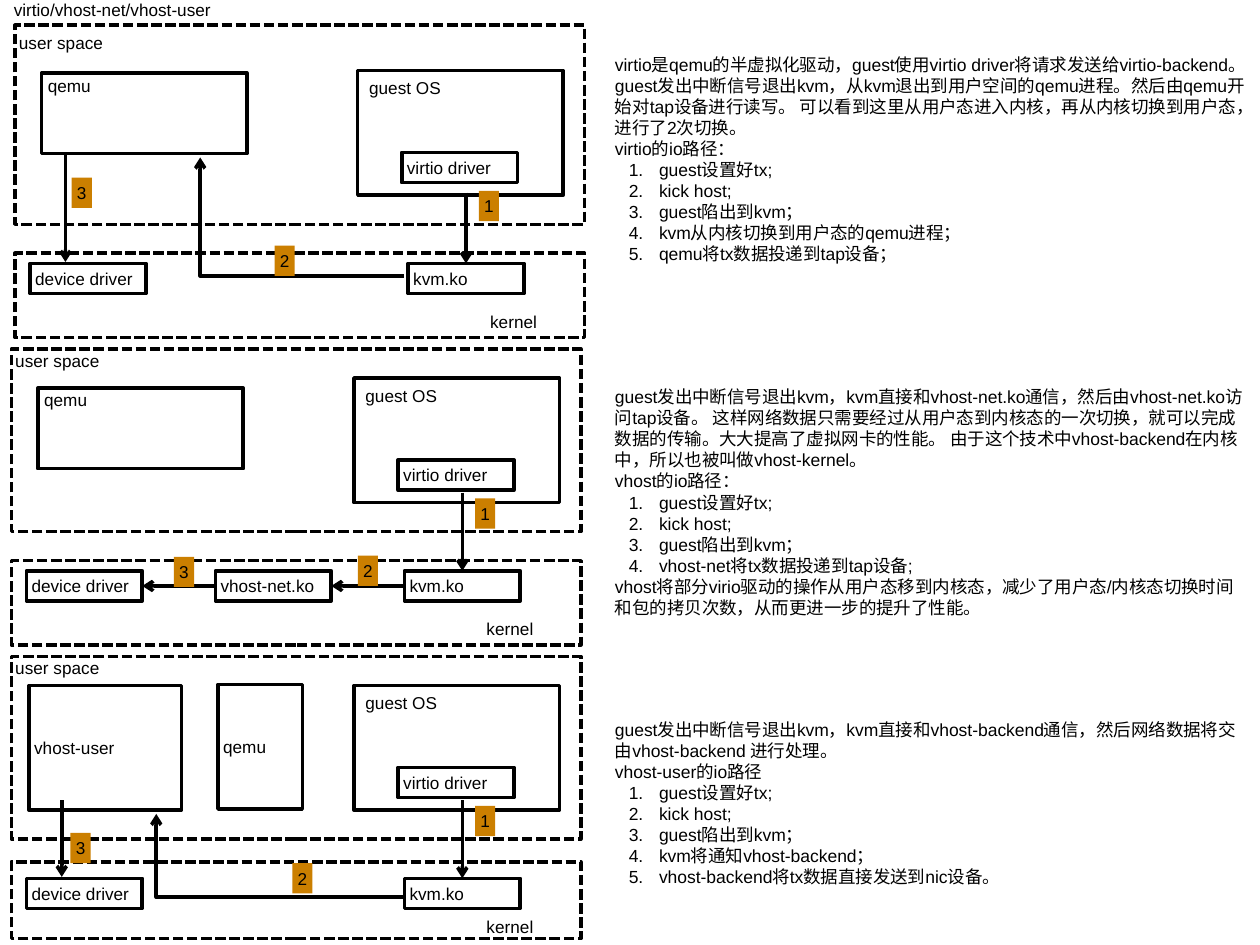
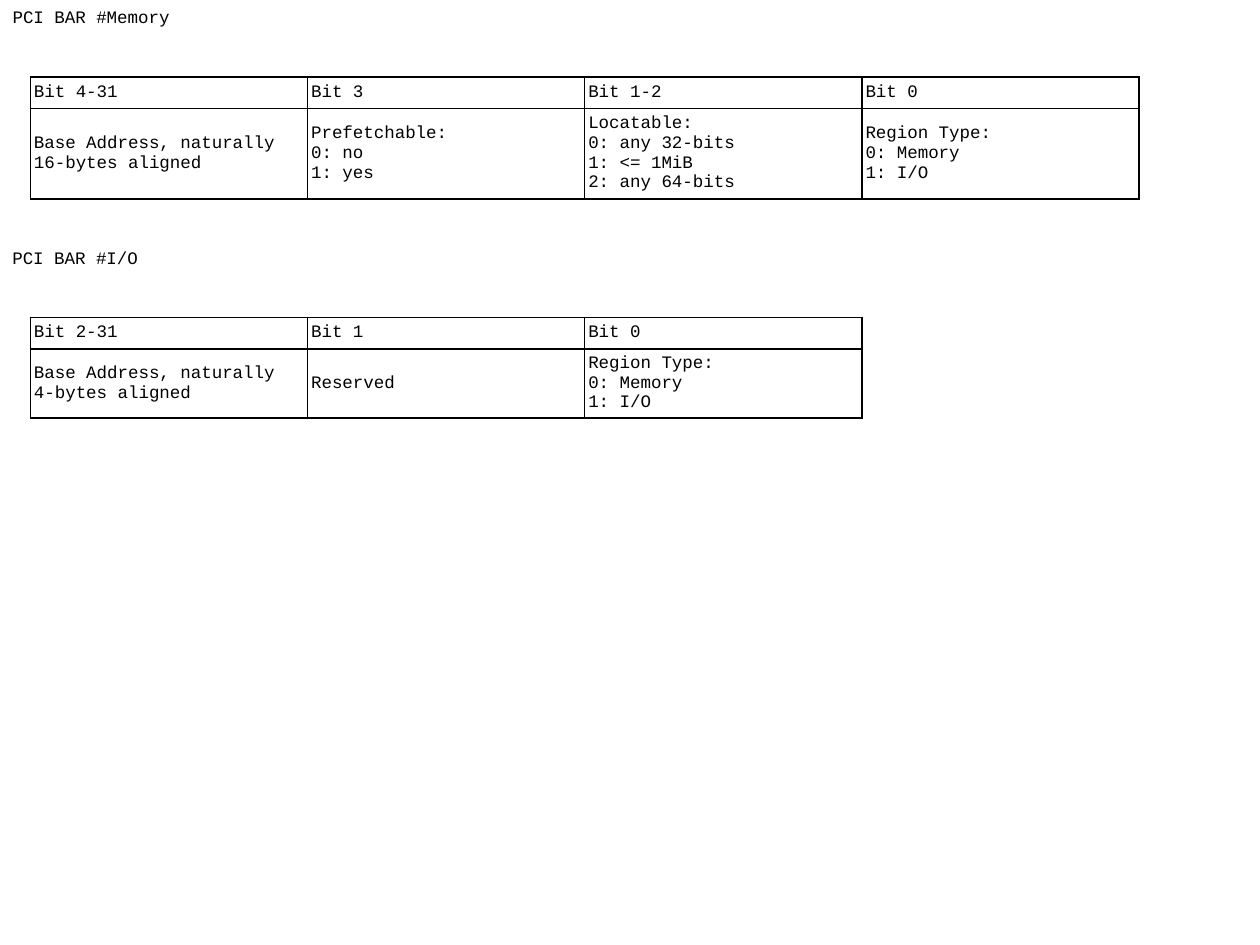
import dataclasses

import pptx
import pptx.dml.color
import pptx.enum.dml
import pptx.enum.shapes
import pptx.enum.text
import pptx.oxml
import pptx.oxml.ns
import pptx.util

Pt = pptx.util.Pt
RGB = pptx.dml.color.RGBColor.from_string
ANCHOR = pptx.enum.text.MSO_ANCHOR
ALIGN = pptx.enum.text.PP_ALIGN
RECTANGLE = pptx.enum.shapes.MSO_SHAPE.RECTANGLE
TOP, LEFT, RIGHT = 0, 1, 3  # connection sites of a rectangle


@dataclasses.dataclass(frozen=True)
class Theme:
    ink: str = "000000"
    badge: str = "CB7F00"
    sans: str = "Arial"
    mono: str = "Courier New"
    label_size: float = 9.8
    body_size: float = 10
    line: float = 2
    border: float = 1
    inset: float = 2.9
    cell_inset: float = 2.1


THEME = Theme()


def add_xml(parent, tag, position=None, **attributes):
    element = pptx.oxml.parse_xml(
        f'<a:{tag} xmlns:a="{pptx.oxml.ns.nsdecls("a").split(chr(34))[1]}"/>')
    for name, value in attributes.items():
        element.set(name, str(value))
    parent.insert(len(parent) if position is None else position, element)
    return element


def write(frame, text, font=THEME.sans, size=THEME.label_size, numbered=(),
          align=ALIGN.LEFT, anchor=ANCHOR.MIDDLE, insets=None, wrap=True):
    """Fill a text frame, one paragraph a line; lines in numbered get a number."""
    frame.word_wrap = wrap
    frame.auto_size = pptx.enum.text.MSO_AUTO_SIZE.NONE
    frame.vertical_anchor = anchor
    across, down = insets or (THEME.inset, THEME.inset)
    frame.margin_left = frame.margin_right = Pt(across)
    frame.margin_top = frame.margin_bottom = Pt(down)
    for index, line in enumerate(text.split("\n")):
        para = frame.add_paragraph() if index else frame.paragraphs[0]
        para.alignment = align
        if line in numbered:
            properties = para._p.get_or_add_pPr()
            properties.set("marL", str(Pt(25.2)))
            properties.set("indent", str(Pt(-17.3)))
            add_xml(properties, "buAutoNum", type="arabicPeriod")
        span = para.add_run()
        span.text = line
        span.font.name = font
        span.font.size = Pt(size)
        span.font.color.rgb = RGB(THEME.ink)


class Page:
    """A slide with its style; elements are placed from a movable origin."""

    def __init__(self, deck, theme):
        self.theme = theme
        self.slide = deck.slides.add_slide(deck.slide_layouts[5])
        self.shapes = self.slide.shapes
        self.origin = (0, 0)

    def at(self, x, y):
        return Pt(self.origin[0] + x), Pt(self.origin[1] + y)

    def stroke(self, line):
        line.color.rgb = RGB(self.theme.ink)
        line.width = Pt(self.theme.line)

    def title(self, text, x, y, width, height, **style):
        box = self.shapes.title
        box.left, box.top = self.at(x, y)
        box.width, box.height = Pt(width), Pt(height)
        write(box.text_frame, text, **style)

    def text(self, text, x, y, width, height=17.3, **style):
        box = self.shapes.add_textbox(*self.at(x, y), Pt(width), Pt(height))
        write(box.text_frame, text, **style)

    def box(self, x, y, width=66.2, height=17.3, text="", dashed=False):
        box = self.shapes.add_shape(RECTANGLE, *self.at(x, y), Pt(width), Pt(height))
        box.shadow.inherit = False
        box.fill.background()
        self.stroke(box.line)
        if dashed:
            box.line.dash_style = pptx.enum.dml.MSO_LINE.SQUARE_DOT
        if text:
            write(box.text_frame, text)
        return box

    def badge(self, number, x, y):
        box = self.shapes.add_shape(RECTANGLE, *self.at(x, y), Pt(11.5), Pt(17.3))
        box.shadow.inherit = False
        box.fill.solid()
        box.fill.fore_color.rgb = RGB(self.theme.badge)
        box.line.fill.background()
        write(box.text_frame, str(number), align=ALIGN.CENTER, wrap=False)

    def arrow(self, start=(0, 0), end=(0, 0), begin_at=None, end_at=None):
        """Arrow between points; begin_at and end_at are (box, site) pairs."""
        arrow = self.shapes.add_connector(
            pptx.enum.shapes.MSO_CONNECTOR.STRAIGHT, *self.at(*start), *self.at(*end))
        if begin_at:
            arrow.begin_connect(*begin_at)
        if end_at:
            arrow.end_connect(*end_at)
        self.stroke(arrow.line)
        add_xml(arrow.line._get_or_add_ln(), "tailEnd", type="arrow")
        add_xml(arrow._element.spPr, "effectLst")

    def elbow(self, tip, corner_y, start_x):
        """Bent arrow that runs left from start_x, then up to the tip."""
        builder = self.shapes.build_freeform(*self.at(*tip), scale=1.0)
        builder.add_line_segments(
            [self.at(tip[0], corner_y), self.at(start_x, corner_y)], close=False)
        bend = builder.convert_to_shape()
        bend.shadow.inherit = False
        bend.fill.background()
        self.stroke(bend.line)
        add_xml(bend.line._get_or_add_ln(), "headEnd", type="arrow")

    def table(self, rows, x, y, column_width, row_heights):
        columns = len(rows[0])
        table = self.shapes.add_table(
            len(rows), columns, *self.at(x, y),
            Pt(column_width * columns), Pt(sum(row_heights))).table
        table.first_row = table.horz_banding = False
        for column in table.columns:
            column.width = Pt(column_width)
        for row, height, texts in zip(table.rows, row_heights, rows):
            row.height = Pt(height)
            for cell, text in zip(row.cells, texts):
                self.cell(cell, text)

    def cell(self, cell, text):
        inset = self.theme.cell_inset
        cell.fill.background()
        write(cell.text_frame, text, font=self.theme.mono, size=self.theme.body_size)
        cell.vertical_anchor = ANCHOR.MIDDLE
        cell.margin_left = cell.margin_right = Pt(inset)
        cell.margin_top = cell.margin_bottom = Pt(inset)
        properties = cell._tc.get_or_add_tcPr()
        for position, side in enumerate("LRTB"):
            border = add_xml(properties, f"ln{side}", position, w=Pt(self.theme.border))
            add_xml(add_xml(border, "solidFill"), "srgbClr", val=self.theme.ink)


def draw_panel(page, origin, user, user_label_y, kernel, kernel_label_y, kick_y):
    """Parts that all three architectures share; user and kernel are (y, height)."""
    page.origin = origin
    for y, height in (user, kernel):
        page.box(0, y, 325.4, height, dashed=True)
    page.text("user space", -0.7, user_label_y, 58.3)
    page.text("kernel", 268.6, kernel_label_y, 44.6)
    page.box(195.8, 0, 117.4, 71.3)
    page.text("guest OS", 199.4, 1.4, 58.3)
    page.box(221, 46.8, text="virtio driver")
    kvm = page.box(224.6, 110.2, text="kvm.ko")
    device = page.box(8.6, 110.2, text="device driver")
    page.arrow(start=(257.7, kick_y), end_at=(kvm, TOP))
    page.badge(1, 265, 68.8)
    return kvm, device


def draw_qemu(page, y, label_y):
    page.box(15.1, y, 117.4, 46.1)
    page.text("qemu", 15.8, label_y, 39.6)


def explain(page, y, height, intro, heading, steps, closing=()):
    page.origin = (0, 0)
    page.text("\n".join([intro, heading, *steps, *closing]), 348.5, y, 367.9, height,
              size=THEME.body_size, numbered=steps)


def build_virtio(deck):
    page = Page(deck, THEME)
    page.title("virtio/vhost-net/vhost-user", 5, -2.9, 122, 17.3)
    common_steps = ["guest设置好tx;", "kick host;", "guest陷出到kvm；"]

    # virtio: the backend is in qemu
    draw_panel(page, (8.6, 40.3), (-25.9, 113.8), -24.5, (104.4, 48.2), 134.6, 69.8)
    draw_qemu(page, 1.4, 0)
    page.elbow((105.8, 49.7), 117.4, 222.5)
    page.badge(2, 148.3, 100.1)
    page.arrow((28.8, 48.2), (28.8, 109.4))
    page.badge(3, 32.4, 61.2)
    explain(page, 27.4, 126.7,
            "virtio是qemu的半虚拟化驱动，guest使用virtio driver将请求发送给virtio-backend。"
            "guest发出中断信号退出kvm，从kvm退出到用户空间的qemu进程。"
            "然后由qemu开始对tap设备进行读写。 "
            "可以看到这里从用户态进入内核，再从内核切换到用户态，进行了2次切换。",
            "virtio的io路径：",
            common_steps + ["kvm从内核切换到用户态的qemu进程；", "qemu将tx数据投递到tap设备；"])

    # vhost-net: the backend is in the kernel
    kvm, device = draw_panel(
        page, (6.5, 216), (-16.6, 104.4), -18.7, (104.4, 48.2), 134.6, 65.5)
    draw_qemu(page, 5.8, 3.6)
    vhost_net = page.box(116.6, 110.2, text="vhost-net.ko")
    page.arrow(begin_at=(kvm, LEFT), end_at=(vhost_net, RIGHT))
    page.arrow(begin_at=(vhost_net, LEFT), end_at=(device, RIGHT))
    page.badge(2, 198, 101.5)
    page.badge(3, 92.9, 102.2)
    explain(page, 217.4, 139,
            "guest发出中断信号退出kvm，kvm直接和vhost-net.ko通信，"
            "然后由vhost-net.ko访问tap设备。 "
            "这样网络数据只需要经过从用户态到内核态的一次切换，就可以完成数据的传输。"
            "大大提高了虚拟网卡的性能。 "
            "由于这个技术中vhost-backend在内核中，所以也被叫做vhost-kernel。",
            "vhost的io路径：",
            common_steps + ["vhost-net将tx数据投递到tap设备;"],
            ["vhost将部分virio驱动的操作从用户态移到内核态，减少了用户态/内核态切换时间"
             "和包的拷贝次数，从而更进一步的提升了性能。"])

    # vhost-user: the backend is a process of its own
    draw_panel(page, (6.5, 391.7), (-16.6, 104.4), -18.7, (100.8, 43.9), 128.9, 65.5)
    page.box(10.1, 0, 87.1, 71.3, "vhost-user")
    page.box(118.1, -0.7, 48.2, 71.3, "qemu")
    page.elbow((82.8, 73.4), 121, 225.4)
    page.badge(2, 160.6, 101.5)
    page.arrow((28.8, 65.5), (28.8, 109.4))
    page.badge(3, 33.8, 84.2)
    explain(page, 407.5, 103,
            "guest发出中断信号退出kvm，kvm直接和vhost-backend通信，"
            "然后网络数据将交由vhost-backend 进行处理。",
            "vhost-user的io路径",
            common_steps + ["kvm将通知vhost-backend；",
                            "vhost-backend将tx数据直接发送到nic设备。"])


def build_pci_bar(deck):
    page = Page(deck, THEME)
    heading = dict(font=THEME.mono, size=THEME.body_size, anchor=ANCHOR.TOP,
                   insets=(7.2, 3.6))
    region = "Region Type:\n0: Memory\n1: I/O"

    # Memory register
    page.title("PCI BAR #Memory", 0, 0, 119.5, 19.4, **heading)
    page.table([
        ["Bit 4-31", "Bit 3", "Bit 1-2", "Bit 0"],
        ["Base Address, naturally 16-bytes aligned", "Prefetchable:\n0: no\n1: yes",
         "Locatable:\n0: any 32-bits\n1: <= 1MiB\n2: any 64-bits", region],
    ], 17.3, 43.9, 158.4, (18, 51.8))

    # I/O register
    page.text("PCI BAR #I/O", 0, 137.5, 119.5, 19.4, **heading)
    page.table([
        ["Bit 2-31", "Bit 1", "Bit 0"],
        ["Base Address, naturally 4-bytes aligned", "Reserved", region],
    ], 17.3, 181.4, 158.4, (18, 39.6))


def main():
    deck = pptx.Presentation()
    deck.slide_width, deck.slide_height = Pt(720), Pt(540)
    build_virtio(deck)
    build_pci_bar(deck)
    deck.save("out.pptx")


if __name__ == "__main__":
    main()
